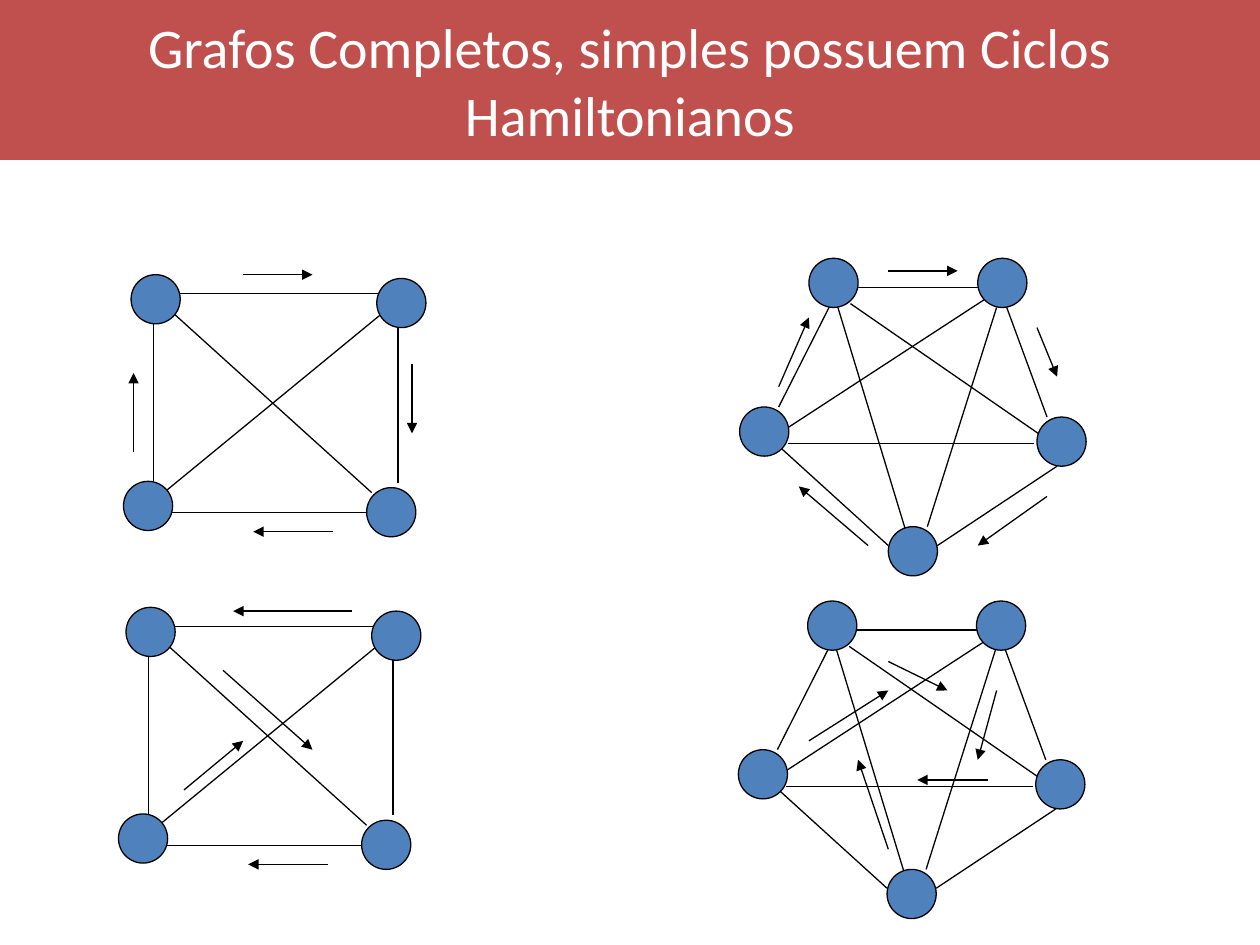
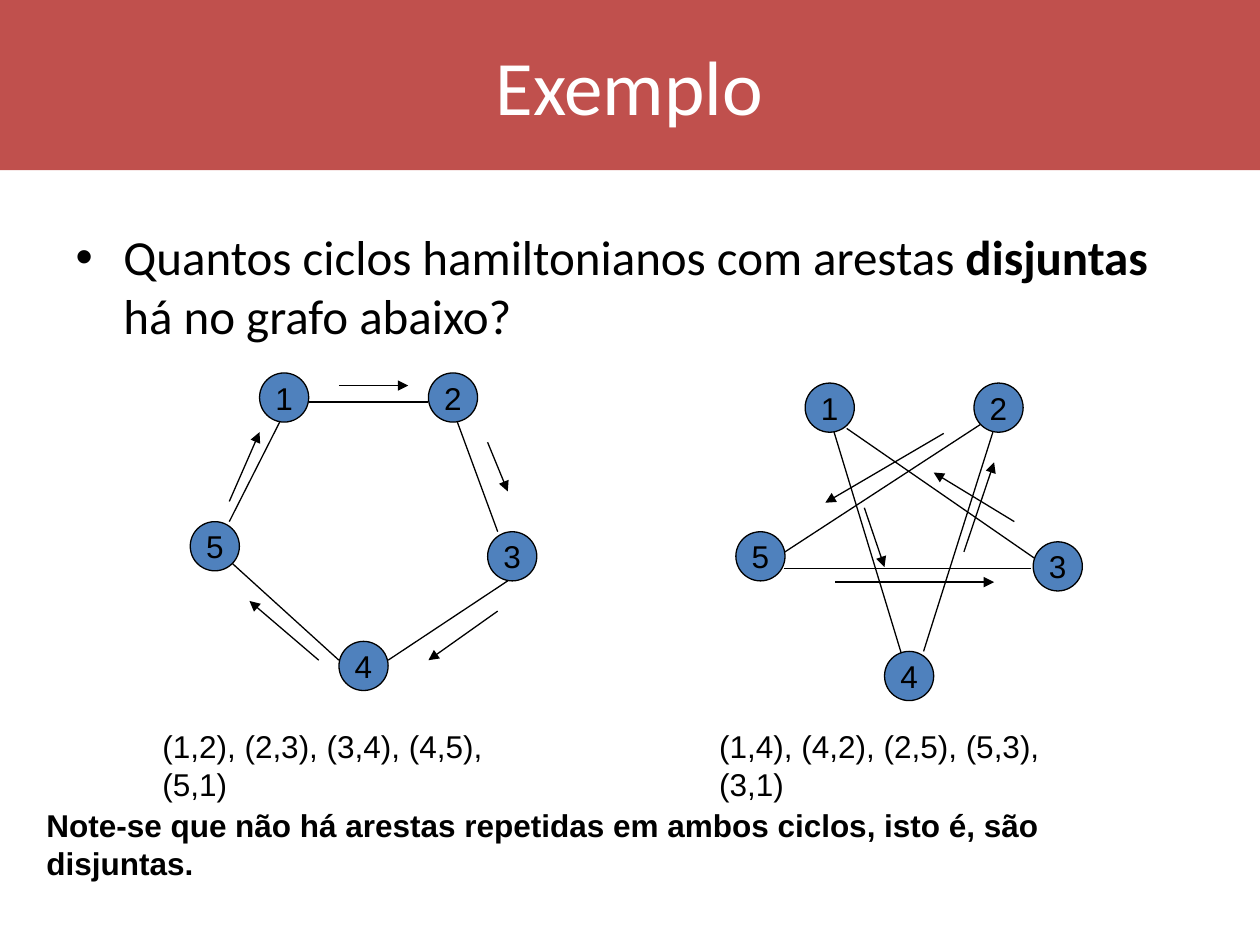
from pptx import Presentation
from pptx.dml.color import RGBColor
from pptx.enum.shapes import MSO_CONNECTOR, MSO_SHAPE
from pptx.enum.text import MSO_ANCHOR, MSO_AUTO_SIZE, PP_ALIGN
from pptx.oxml.ns import qn
from pptx.util import Inches, Pt
from lxml.etree import SubElement

RED = RGBColor(0xC0, 0x50, 0x4D)
BLUE = RGBColor(0x4F, 0x81, 0xBD)
BLACK = RGBColor(0, 0, 0)
WHITE = RGBColor(255, 255, 255)
LINE_WIDTH = Pt(0.74)
NODE_SIZE = 0.39
TITLE_ONLY, TITLE_AND_BODY = 5, 1

SQUARE_NODES = {1: (0.06, 0), 2: (2.01, 0.03), 3: (1.93, 1.69), 4: (0, 1.64)}
SQUARE_EDGES = {
    (1, 2): (0.4, 0.15, 2.05, 0.15),
    (3, 4): (0.32, 1.89, 1.97, 1.89),
    (1, 4): (0.24, 0.39, 0.24, 1.65),
    (2, 3): (2.18, 0.39, 2.18, 1.65),
    (1, 3): (0.4, 0.31, 1.97, 1.73),
    (2, 4): (2.05, 0.31, 0.32, 1.73),
}
PENTAGON_NODES = {1: (0.55, 0), 5: (0, 1.18), 2: (1.89, 0), 3: (2.36, 1.26), 4: (1.18, 2.13)}
PENTAGON_EDGES = {
    (1, 2): (0.94, 0.23, 1.89, 0.23),
    (1, 3): (0.88, 0.36, 2.37, 1.39),
    (1, 5): (0.71, 0.39, 0.31, 1.18),
    (1, 4): (0.78, 0.39, 1.33, 2.2),
    (2, 3): (2.12, 0.39, 2.44, 1.26),
    (3, 4): (2.52, 1.65, 1.57, 2.28),
    (4, 5): (1.18, 2.28, 0.31, 1.49),
    (2, 5): (1.97, 0.31, 0.39, 1.34),
    (2, 4): (2.04, 0.39, 1.49, 2.13),
    (3, 5): (2.34, 1.47, 0.38, 1.47),
}
RIM = [(1, 2), (1, 5), (2, 3), (3, 4), (4, 5)]
STAR = [edge for edge in PENTAGON_EDGES if edge not in RIM]

SQUARE_RIM_ARROWS = [
    (0.95, 0, 1.5, 0), (2.29, 0.71, 2.29, 1.26),
    (1.66, 2.04, 1.03, 2.04), (0.08, 1.41, 0.08, 0.78),
]
SQUARE_CROSS_ARROWS = [
    (0.83, 0.5, 1.54, 1.13), (1.85, 0.03, 0.91, 0.03),
    (1.66, 2.04, 1.03, 2.04), (0.52, 1.45, 0.99, 1.06),
]
RIM_ARROWS = [
    (2.36, 0.55, 2.52, 0.94), (1.18, 0.1, 1.73, 0.1), (2.44, 1.89, 1.89, 2.28),
    (1.02, 2.28, 0.47, 1.81), (0.31, 1.02, 0.55, 0.47),
]
INNER_STAR_ARROWS = [
    (1.98, 1.42, 1.42, 1.42), (1.19, 0.48, 1.66, 0.71), (2.05, 0.71, 1.9, 1.26),
    (1.19, 1.97, 0.95, 1.26), (0.56, 1.11, 1.19, 0.71),
]
STAR_ARROWS = [
    (1.65, 0.4, 0.71, 0.95), (2.21, 1.1, 1.57, 0.71), (0.79, 1.58, 2.05, 1.58),
    (1.02, 0.99, 1.18, 1.46), (1.81, 1.34, 2.05, 0.63),
]

SQUARE = (SQUARE_NODES, SQUARE_EDGES)
PENTAGON = (PENTAGON_NODES, PENTAGON_EDGES)
COMPLETE_GRAPHS = [
    ((0.98, 2.18), SQUARE, SQUARE_RIM_ARROWS),
    ((5.87, 2.05), PENTAGON, RIM_ARROWS),
    ((0.94, 4.82), SQUARE, SQUARE_CROSS_ARROWS),
    ((5.86, 4.77), PENTAGON, INNER_STAR_ARROWS),
]
DISJOINT_CYCLES = [
    ((1.51, 2.96), RIM, RIM_ARROWS),
    ((5.84, 3.04), STAR, STAR_ARROWS),
]
QUESTION = [
    ("Quantos ciclos hamiltonianos com arestas ", False),
    ("disjuntas", True),
    (" há no grafo abaixo?", False),
]
CAPTIONS = [
    ("(1,2), (2,3), (3,4), (4,5), (5,1)", 1.19, 5.72, 3.32, False),
    ("(1,4), (4,2), (2,5), (5,3), (3,1)", 5.61, 5.72, 3.32, False),
    ("Note-se que não há arestas repetidas em ambos ciclos, isto é, são disjuntas.",
     0.27, 6.35, 9.31, True),
]


def set_font(paragraph, name, size, color, bold=None):
    font = paragraph.font
    font.name, font.size, font.bold = name, Pt(size), bold
    font.color.rgb = color


def place(part, left, top, width, height):
    part.left, part.top = Inches(left), Inches(top)
    part.width, part.height = Inches(width), Inches(height)


def add_slide(layout, heading, size, left, width, height):
    slide = deck.slides.add_slide(deck.slide_layouts[layout])
    title = slide.shapes.title
    place(title, left, 0, width, height)
    title.fill.solid()
    title.fill.fore_color.rgb = RED
    title.text_frame.text = heading
    title.text_frame.auto_size = MSO_AUTO_SIZE.NONE
    title.text_frame.vertical_anchor = MSO_ANCHOR.MIDDLE
    paragraph = title.text_frame.paragraphs[0]
    paragraph.alignment = PP_ALIGN.CENTER
    set_font(paragraph, "Calibri", size, WHITE)
    return slide


def add_line(slide, origin, ends, arrow=False):
    left, top = origin
    x1, y1, x2, y2 = ends
    line = slide.shapes.add_connector(
        MSO_CONNECTOR.STRAIGHT, Inches(left + x1), Inches(top + y1),
        Inches(left + x2), Inches(top + y2))
    line.line.color.rgb = BLACK
    line.line.width = LINE_WIDTH
    if arrow:
        SubElement(line.line._get_or_add_ln(), qn("a:tailEnd"), type="triangle")
    SubElement(line._element.spPr, qn("a:effectLst"))


def add_node(slide, left, top, label):
    node = slide.shapes.add_shape(
        MSO_SHAPE.OVAL, Inches(left), Inches(top), Inches(NODE_SIZE), Inches(NODE_SIZE))
    node.shadow.inherit = False
    node.fill.solid()
    node.fill.fore_color.rgb = BLUE
    node.line.color.rgb = BLACK
    node.line.width = LINE_WIDTH
    if label:
        node.text_frame.text = label
        node.text_frame.word_wrap = False
        node.text_frame.vertical_anchor = MSO_ANCHOR.MIDDLE
        paragraph = node.text_frame.paragraphs[0]
        paragraph.alignment = PP_ALIGN.CENTER
        set_font(paragraph, "Arial", 18, BLACK)


def add_graph(slide, origin, nodes, edges, arrows, labelled=False):
    for ends in edges:
        add_line(slide, origin, ends)
    for number, (x, y) in nodes.items():
        add_node(slide, origin[0] + x, origin[1] + y, str(number) if labelled else "")
    for ends in arrows:
        add_line(slide, origin, ends, arrow=True)


def add_question(slide):
    body = slide.placeholders[1]
    place(body, 0.5, 1.75, 9, 4.95)
    body.text_frame.auto_size = MSO_AUTO_SIZE.NONE
    paragraph = body.text_frame.paragraphs[0]
    paragraph.space_before = Pt(7)
    for text, bold in QUESTION:
        run = paragraph.add_run()
        run.text, run.font.bold = text, bold
    properties = paragraph._p.get_or_add_pPr()
    properties.set("marL", str(Inches(0.38)))
    properties.set("indent", str(Inches(-0.38)))
    SubElement(properties, qn("a:buFont"), typeface="Arial")
    SubElement(properties, qn("a:buChar"), char="•")
    set_font(paragraph, "Calibri", 28, BLACK)


def add_caption(slide, text, left, top, width, bold):
    caption = slide.shapes.add_textbox(Inches(left), Inches(top), Inches(width), Inches(0.4))
    caption.text_frame.text = text
    caption.text_frame.word_wrap = False
    caption.text_frame.auto_size = MSO_AUTO_SIZE.SHAPE_TO_FIT_TEXT
    set_font(caption.text_frame.paragraphs[0], "Arial", 18, BLACK, bold)


deck = Presentation()
deck.slide_width, deck.slide_height = Inches(10), Inches(7.5)

complete = add_slide(
    TITLE_ONLY, "Grafos Completos, simples possuem Ciclos Hamiltonianos", 32, 0, 10, 1.27)
for origin, (nodes, edges), arrows in COMPLETE_GRAPHS:
    add_graph(complete, origin, nodes, edges.values(), arrows)

example = add_slide(TITLE_AND_BODY, "Exemplo", 44, -0.01, 10.01, 1.35)
add_question(example)
for origin, cycle, arrows in DISJOINT_CYCLES:
    cycle_edges = [PENTAGON_EDGES[edge] for edge in cycle]
    add_graph(example, origin, PENTAGON_NODES, cycle_edges, arrows, labelled=True)
for caption in CAPTIONS:
    add_caption(example, *caption)

deck.save("out.pptx")
